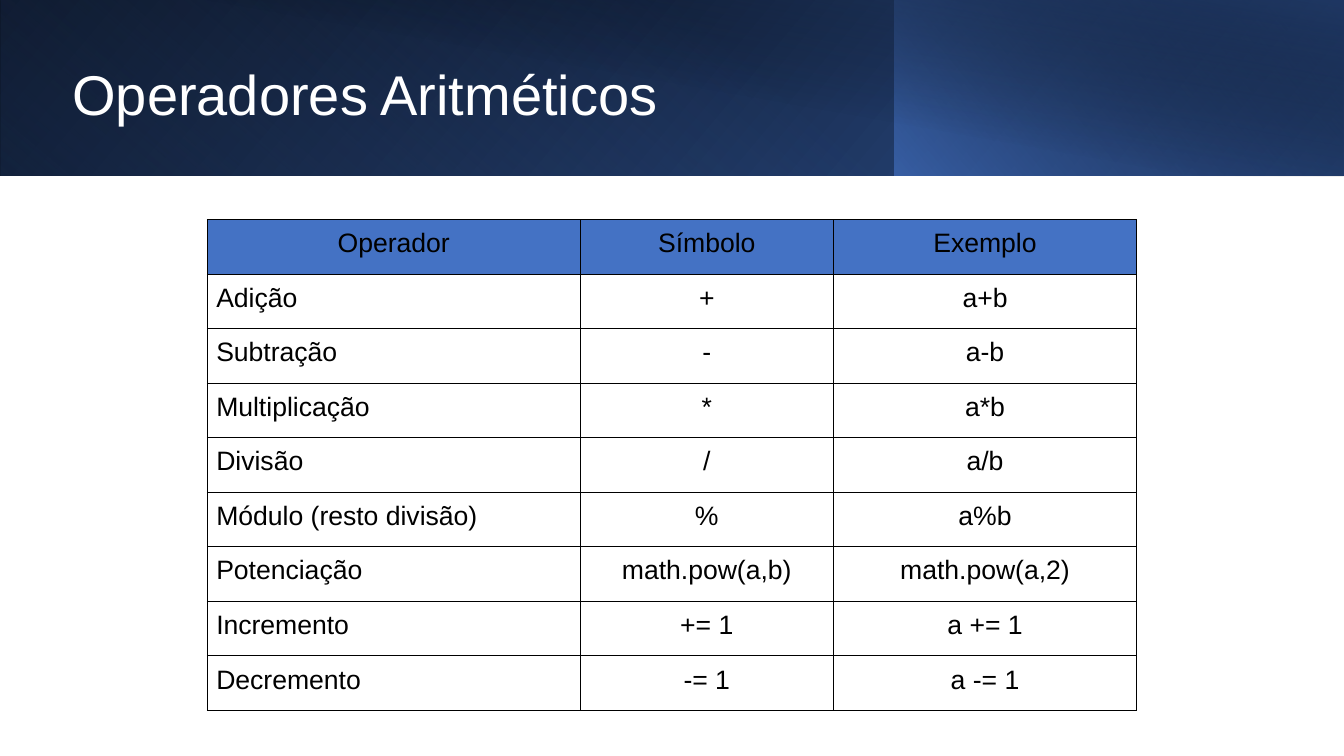
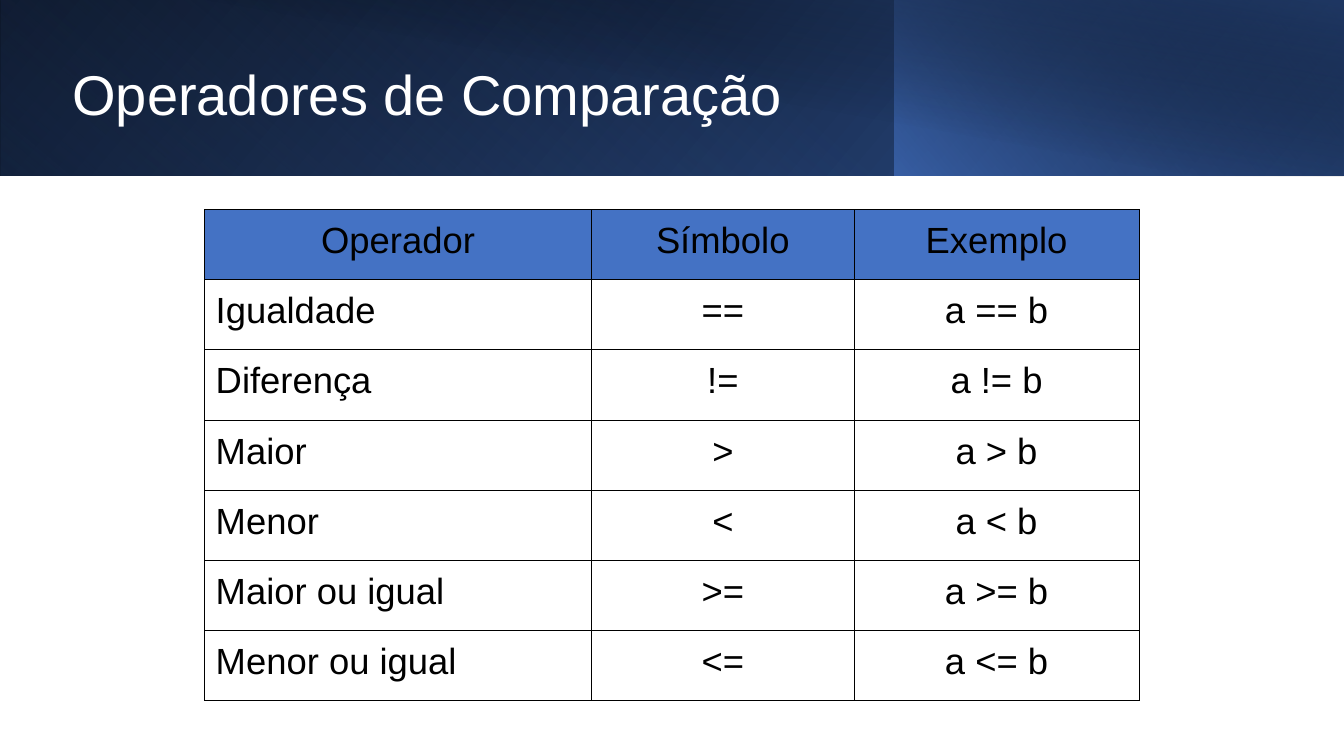
from dataclasses import dataclass

from lxml.etree import SubElement
from pptx import Presentation
from pptx.dml.color import RGBColor
from pptx.enum.shapes import MSO_SHAPE
from pptx.enum.text import MSO_ANCHOR, PP_ALIGN
from pptx.oxml.ns import qn
from pptx.slide import Slide
from pptx.table import _Cell as Cell
from pptx.text.text import _Paragraph as Paragraph
from pptx.util import Inches, Pt

FONT = "Arial"
BLACK, WHITE = "000000", "FFFFFF"
BLUE, DEEP_BLUE, NAVY = "4472C4", "2F5496", "1F3864"
SLIDE_WIDTH, SLIDE_HEIGHT = 13.33, 7.5
TABLE_HEIGHT = 4.87
HEADINGS = ("Operador", "Símbolo", "Exemplo")


@dataclass(frozen=True)
class Stop:
    position: int
    color: str
    opacity: int = 100


@dataclass(frozen=True)
class Band:
    left: float
    width: float
    height: float
    angle: int
    stops: tuple[Stop, ...]
    flipped: bool = True
    rotation: int = 0


@dataclass(frozen=True)
class OperatorSlide:
    title: str
    top: float
    columns: tuple[float, ...]
    size: int
    margin: float
    rows: tuple[tuple[str, str, str], ...]


BANDS = (
    Band(0, SLIDE_WIDTH, 1.74, 140, (Stop(0, BLACK), Stop(100, DEEP_BLUE))),
    Band(0, 8.88, 1.74, 230,
         (Stop(0, BLUE, 0), Stop(20, BLUE, 0), Stop(100, NAVY, 54)), rotation=180),
    Band(8.87, 4.46, 1.74, 220, (Stop(0, BLUE, 65), Stop(100, BLACK, 29))),
    Band(0.5, 12.83, 1.75, 280,
         (Stop(0, BLACK, 0), Stop(50, BLACK, 0), Stop(99, NAVY, 51), Stop(100, NAVY, 51)),
         flipped=False),
)

SLIDES = (
    OperatorSlide(
        "Operadores Aritméticos", 2.18, (3.7, 2.51, 3.01), 19, 0.09,
        (
            ("Adição", "+", "a+b"),
            ("Subtração", "-", "a-b"),
            ("Multiplicação", "*", "a*b"),
            ("Divisão", "/", "a/b"),
            ("Módulo (resto divisão)", "%", "a%b"),
            ("Potenciação", "math.pow(a,b)", "math.pow(a,2)"),
            ("Incremento", "+= 1", "a += 1"),
            ("Decremento", "-= 1", "a -= 1"),
        ),
    ),
    OperatorSlide(
        "Operadores de Comparação", 2.08, (3.84, 2.6, 2.83), 26, 0.11,
        (
            ("Igualdade", "==", "a == b"),
            ("Diferença", "!=", "a != b"),
            ("Maior", ">", "a > b"),
            ("Menor", "<", "a < b"),
            ("Maior ou igual", ">=", "a >= b"),
            ("Menor ou igual", "<=", "a <= b"),
        ),
    ),
)


def rgb(color: str) -> RGBColor:
    return RGBColor.from_string(color)


def add_run(paragraph: Paragraph, text: str, size: int, color: str) -> None:
    run = paragraph.add_run()
    run.text = text
    run.font.name = FONT
    run.font.size = Pt(size)
    run.font.color.rgb = rgb(color)


def add_band(slide: Slide, band: Band) -> None:
    """Draw a rectangle with a gradient of partly transparent stops."""
    shape = slide.shapes.add_shape(
        MSO_SHAPE.RECTANGLE, Inches(band.left), 0, Inches(band.width), Inches(band.height))
    shape.shadow.inherit = False
    shape.rotation = band.rotation
    properties = shape._element.spPr
    if band.flipped:
        properties.find(qn("a:xfrm")).set("flipH", "1")

    gradient = SubElement(properties, qn("a:gradFill"), rotWithShape="1")
    properties.find(qn("a:prstGeom")).addnext(gradient)
    stops = SubElement(gradient, qn("a:gsLst"))
    for stop in band.stops:
        entry = SubElement(stops, qn("a:gs"), pos=str(stop.position * 1000))
        color = SubElement(entry, qn("a:srgbClr"), val=stop.color)
        if stop.opacity < 100:
            SubElement(color, qn("a:alpha"), val=str(stop.opacity * 1000))
    SubElement(gradient, qn("a:lin"), ang=str(band.angle * 60000), scaled="0")
    shape.line.fill.background()


def add_title(slide: Slide, title: str) -> None:
    box = slide.shapes.add_textbox(Inches(0.62), Inches(0.24), Inches(12.21), Inches(1.45))
    frame = box.text_frame
    frame.word_wrap = True
    frame.vertical_anchor = MSO_ANCHOR.MIDDLE
    paragraph = frame.paragraphs[0]
    paragraph.line_spacing = 0.9
    add_run(paragraph, title, 40, WHITE)


def add_borders(cell: Cell) -> None:
    properties = cell._tc.get_or_add_tcPr()
    for side in ("lnL", "lnR", "lnT", "lnB"):
        line = SubElement(properties, qn(f"a:{side}"), w=str(Pt(0.75)))
        fill = SubElement(line, qn("a:solidFill"))
        SubElement(fill, qn("a:srgbClr"), val=BLACK)


def add_operator_table(slide: Slide, content: OperatorSlide) -> None:
    rows = (HEADINGS, *content.rows)
    width = sum(content.columns)
    table = slide.shapes.add_table(
        len(rows), len(HEADINGS), Inches((SLIDE_WIDTH - width) / 2), Inches(content.top),
        Inches(width), Inches(TABLE_HEIGHT)).table
    table.first_row = table.horz_banding = False
    for column, column_width in zip(table.columns, content.columns):
        column.width = Inches(column_width)

    for row_index, texts in enumerate(rows):
        table.rows[row_index].height = Inches(TABLE_HEIGHT / len(rows))
        for column_index, text in enumerate(texts):
            cell = table.cell(row_index, column_index)
            add_borders(cell)
            is_heading = row_index == 0
            if is_heading:
                cell.fill.solid()
                cell.fill.fore_color.rgb = rgb(BLUE)
            else:
                cell.fill.background()
            margin = Inches(content.margin)
            cell.margin_left = cell.margin_right = margin
            cell.margin_top = cell.margin_bottom = margin
            paragraph = cell.text_frame.paragraphs[0]
            centered = is_heading or column_index > 0
            paragraph.alignment = PP_ALIGN.CENTER if centered else PP_ALIGN.LEFT
            add_run(paragraph, text, content.size, BLACK)


def main() -> None:
    presentation = Presentation()
    presentation.slide_width = Inches(SLIDE_WIDTH)
    presentation.slide_height = Inches(SLIDE_HEIGHT)
    blank_layout = presentation.slide_layouts[6]
    for content in SLIDES:
        slide = presentation.slides.add_slide(blank_layout)
        for band in BANDS:
            add_band(slide, band)
        add_title(slide, content.title)
        add_operator_table(slide, content)
    presentation.save("out.pptx")


if __name__ == "__main__":
    main()
